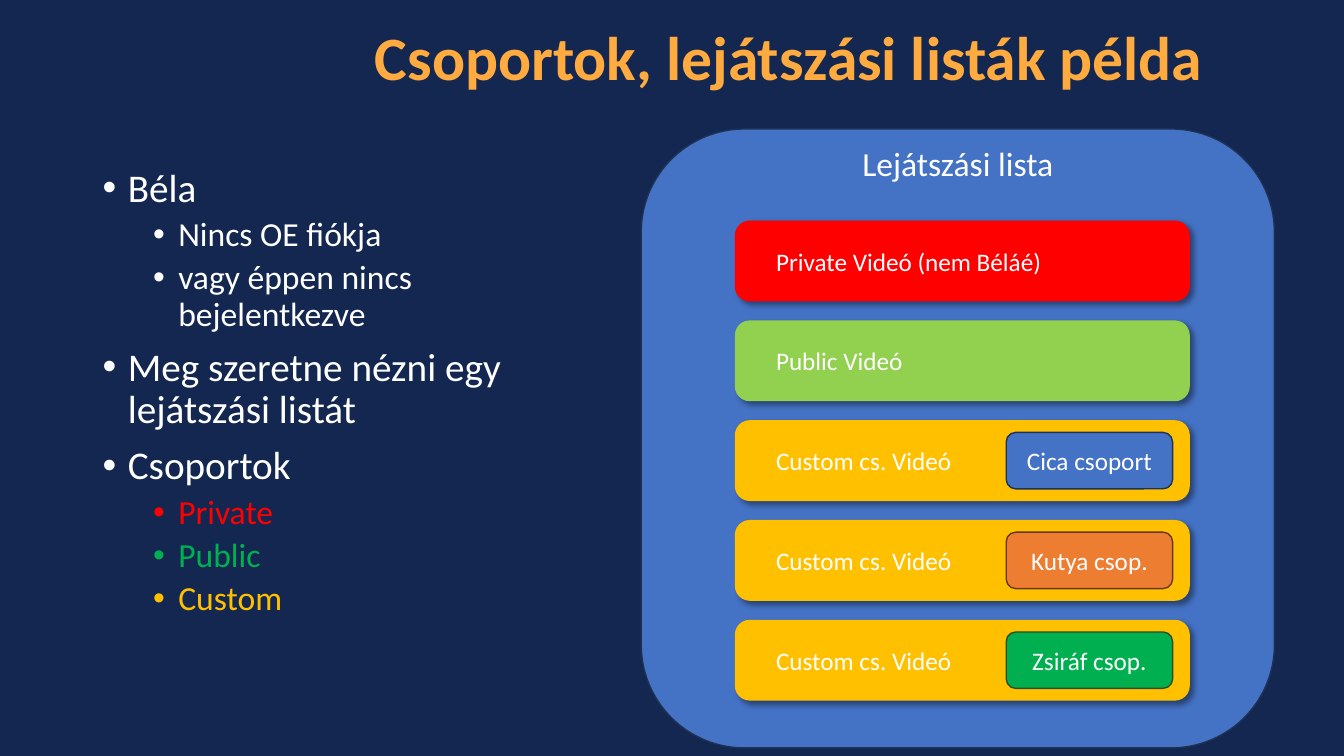
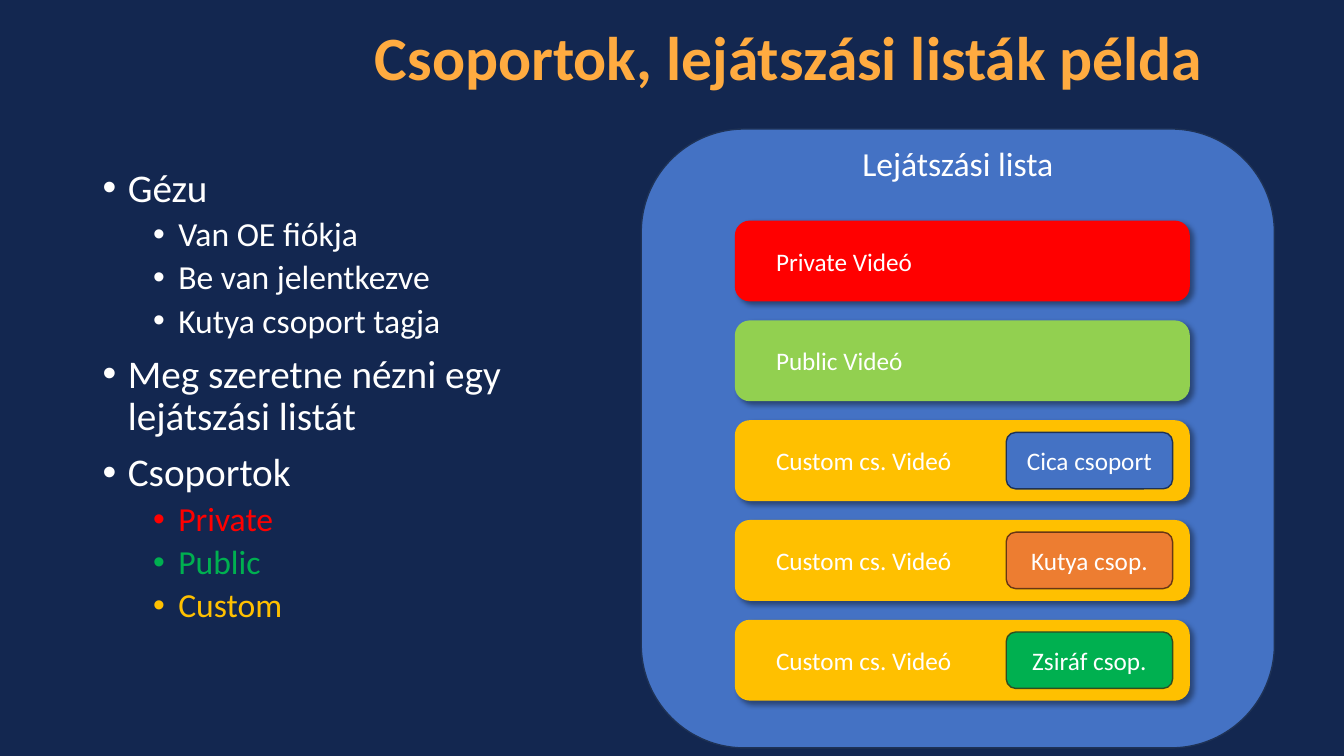
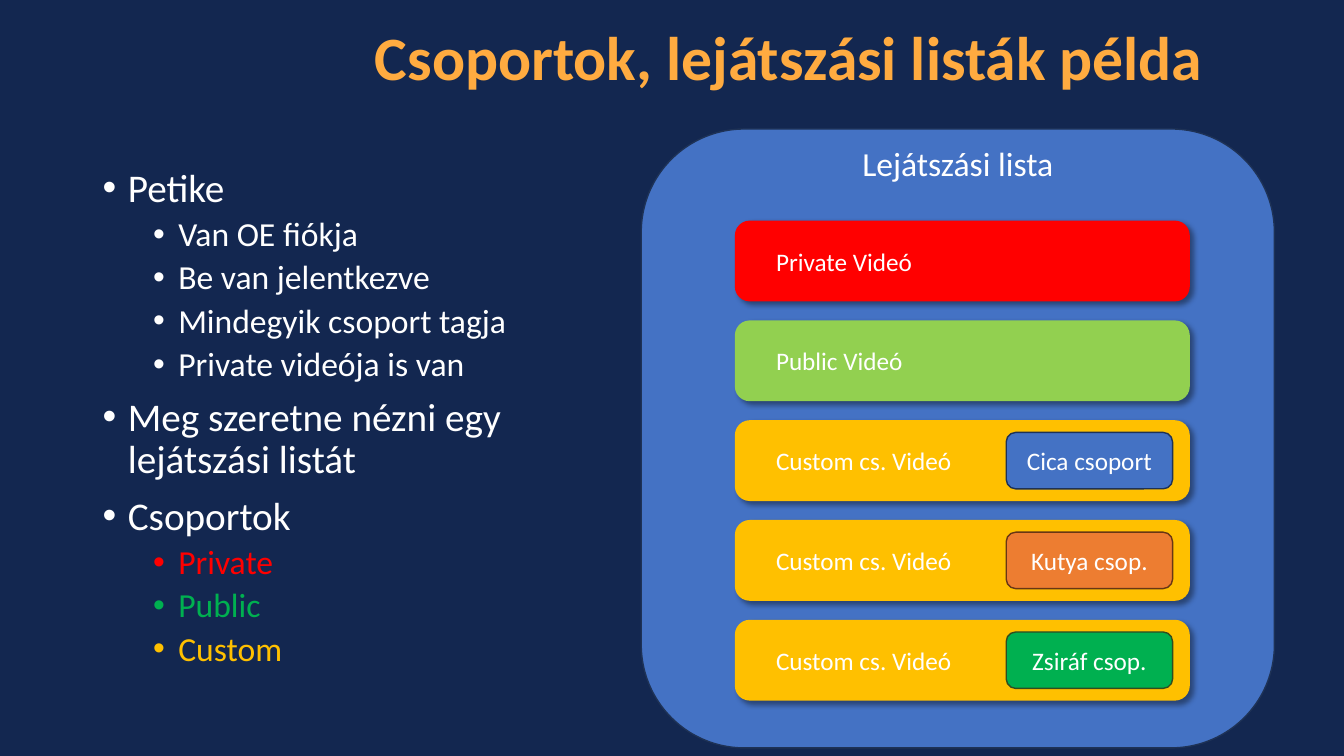
from lxml import etree
from pptx import Presentation
from pptx.dml.color import RGBColor
from pptx.enum import shapes, text
from pptx.oxml import ns
from pptx.util import Inches, Pt

FONT = "Calibri"
COLORS = {
    "background": "132750", "title": "FFAB40", "white": "FFFFFF",
    "panel": "4472C4", "panel_line": "1E3256", "shadow": "000000",
    "private": "FF0000", "public": "00B050", "custom": "FFC000",
    "public_bar": "92D050", "orange": "ED7D31", "orange_line": "683715",
    "green_line": "314C1F",
}

# Shared content
TITLE = "Csoportok, lejátszási listák példa"
CLOSING = [
    (0, "Meg szeretne nézni egy lejátszási listát", "white"),
    (0, "Csoportok", "white"),
    (1, "Private", "private"),
    (1, "Public", "public"),
    (1, "Custom", "custom"),
]
CUSTOM_GROUPS = [
    ("Cica csoport", "panel", "panel_line"),
    ("Kutya csop.", "orange", "orange_line"),
    ("Zsiráf csop.", "public", "green_line"),
]

# One entry per slide: person, facts about them, label of the private video
SLIDES = [
    ("Béla", ["Nincs OE fiókja", "vagy éppen nincs bejelentkezve"],
     "Private Videó (nem Béláé)"),
    ("Gézu", ["Van OE fiókja", "Be van jelentkezve", "Kutya csoport tagja"],
     "Private Videó"),
    ("Petike", ["Van OE fiókja", "Be van jelentkezve", "Mindegyik csoport tagja",
                "Private videója is van"],
     "Private Videó"),
]

# Playlist grid, in inches
BAR_LEFT, BAR_TOP, BAR_W, BAR_H, BAR_PITCH = 7.31, 2.21, 4.47, 0.76, 0.99
CHIP_LEFT, CHIP_W, CHIP_H = 9.98, 1.65, 0.56


def rgb(name):
    return RGBColor.from_string(COLORS[name])


def write(p, words, size, color="white", bold=False):
    p.text = words
    for r in p.runs:
        r.font.name, r.font.size, r.font.bold = FONT, Pt(size), bold
        r.font.color.rgb = rgb(color)


def add_text(slide, left, top, width, height):
    sp = slide.shapes.add_textbox(Inches(left), Inches(top), Inches(width), Inches(height))
    sp.text_frame.word_wrap = True
    return sp.text_frame


def add_round_rect(slide, left, top, width, height, fill, line, line_width):
    sp = slide.shapes.add_shape(shapes.MSO_SHAPE.ROUNDED_RECTANGLE, Inches(left),
                                Inches(top), Inches(width), Inches(height))
    sp.shadow.inherit = False
    sp.fill.solid()
    sp.fill.fore_color.rgb = rgb(fill)
    sp.line.color.rgb = rgb(line)
    sp.line.width = Pt(line_width)
    return sp


def label_shape(sp, words, align, inset):
    tf = sp.text_frame
    tf.margin_left, tf.margin_right = Inches(inset), 0
    tf.vertical_anchor = text.MSO_ANCHOR.MIDDLE
    p = tf.paragraphs[0]
    p.alignment = align
    write(p, words, 18)


def add_shadow(sp):
    effects = sp._element.spPr.find(ns.qn("a:effectLst"))
    shadow = etree.SubElement(effects, ns.qn("a:outerShdw"), blurRad=str(Pt(4)),
                              dist=str(Pt(3)), dir="2700000", algn="tl", rotWithShape="0")
    color = etree.SubElement(shadow, ns.qn("a:srgbClr"), val=COLORS["shadow"])
    etree.SubElement(color, ns.qn("a:alpha"), val="40000")


def add_title(slide):
    tf = add_text(slide, 3.62, 0.15, 8.79, 0.91)
    tf.vertical_anchor = text.MSO_ANCHOR.MIDDLE
    p = tf.paragraphs[0]
    p.line_spacing = 0.9
    write(p, TITLE, 44, "title", bold=True)


def add_bullets(slide, items):
    tf = add_text(slide, 0.92, 1.62, 5.03, 5.73)
    for i, (level, words, color) in enumerate(items):
        p = tf.add_paragraph() if i else tf.paragraphs[0]
        p.level = level
        p.line_spacing = 0.9
        p.space_before = Pt(5 if level else 10)
        write(p, words, 24 if level else 28, color)
        pPr = p._p.get_or_add_pPr()
        pPr.set("marL", str(Inches(0.25 + 0.5 * level)))
        pPr.set("indent", str(Inches(-0.25)))
        etree.SubElement(pPr, ns.qn("a:buFont"), typeface="Arial")
        etree.SubElement(pPr, ns.qn("a:buChar"), char="•")


def add_video(slide, row, words, color, group=None):
    top = BAR_TOP + row * BAR_PITCH
    bar = add_round_rect(slide, BAR_LEFT, top, BAR_W, BAR_H, color, color, 3)
    add_shadow(bar)
    label_shape(bar, words, text.PP_ALIGN.LEFT, 0.35)
    if group:
        name, fill, line = group
        chip = add_round_rect(slide, CHIP_LEFT, top + (BAR_H - CHIP_H) / 2,
                              CHIP_W, CHIP_H, fill, line, 1)
        label_shape(chip, name, text.PP_ALIGN.CENTER, 0)


def add_playlist(slide, private_label):
    add_round_rect(slide, 6.36, 1.28, 6.28, 6.14, "panel", "panel_line", 1)
    p = add_text(slide, 8.34, 1.37, 2.32, 0.5).paragraphs[0]
    p.alignment = text.PP_ALIGN.CENTER
    write(p, "Lejátszási lista", 24)
    add_video(slide, 0, private_label, "private")
    add_video(slide, 1, "Public Videó", "public_bar")
    for row, group in enumerate(CUSTOM_GROUPS, start=2):
        add_video(slide, row, "Custom cs. Videó", "custom", group)


def main():
    prs = Presentation()
    prs.slide_width, prs.slide_height = Inches(13.33), Inches(7.5)
    fill = prs.slide_master.background.fill
    fill.solid()
    fill.fore_color.rgb = rgb("background")
    for person, facts, private_label in SLIDES:
        slide = prs.slides.add_slide(prs.slide_layouts[6])
        add_title(slide)
        add_bullets(slide, [(0, person, "white"),
                            *((1, fact, "white") for fact in facts), *CLOSING])
        add_playlist(slide, private_label)
    prs.save("out.pptx")


if __name__ == "__main__":
    main()
